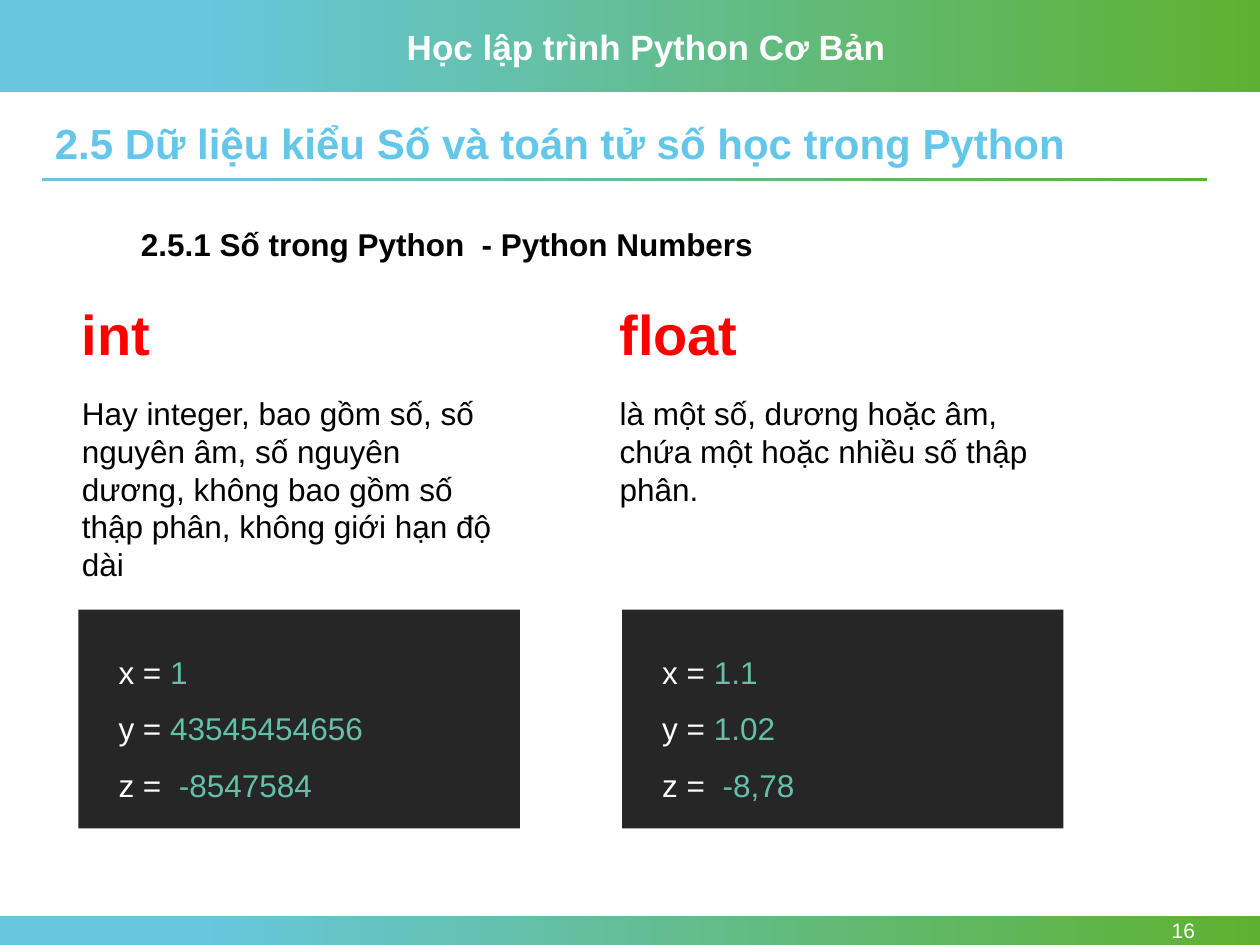
from pptx import Presentation
from pptx.dml.color import RGBColor
from pptx.enum.shapes import MSO_SHAPE as Shape
from pptx.enum.text import MSO_ANCHOR as Anchor, MSO_AUTO_SIZE as AutoSize, PP_ALIGN as Align
from pptx.util import Cm, Pt

SKY = RGBColor(0x67, 0xC7, 0xDF)
GREEN = RGBColor(0x5E, 0xB1, 0x30)
TITLE_BLUE = RGBColor(0x64, 0xC7, 0xE9)
RED = RGBColor(0xFF, 0x00, 0x00)
BLACK = RGBColor(0x00, 0x00, 0x00)
WHITE = RGBColor(0xFF, 0xFF, 0xFF)
CODE_BACK = RGBColor(0x26, 0x26, 0x26)
CODE_VALUE = RGBColor(0x64, 0xC0, 0xA7)


class SlideBuilder:
    font_name = "Arial"

    def __init__(self, slide):
        self.slide = slide

    def style(self, paragraph, size, color=None, bold=False):
        font = paragraph.font
        font.name, font.size, font.bold = self.font_name, Pt(size), bold
        if color is not None:
            font.color.rgb = color

    def title(self, text, left, top, width, height):
        title = self.slide.shapes.title
        title.left, title.top = Cm(left), Cm(top)
        title.width, title.height = Cm(width), Cm(height)
        frame = title.text_frame
        frame.text = text
        frame.auto_size = AutoSize.NONE
        frame.vertical_anchor = Anchor.TOP
        paragraph = frame.paragraphs[0]
        paragraph.alignment = Align.LEFT
        paragraph.line_spacing = 0.9
        self.style(paragraph, 24, TITLE_BLUE, bold=True)

    def rectangle(self, left, top, width, height):
        rectangle = self.slide.shapes.add_shape(
            Shape.RECTANGLE, Cm(left), Cm(top), Cm(width), Cm(height))
        rectangle.shadow.inherit = False
        rectangle.line.fill.background()
        return rectangle

    def gradient_bar(self, left, top, width, height):
        fill = self.rectangle(left, top, width, height).fill
        fill.gradient()
        fill.gradient_angle = 0
        for stop, position, color in zip(fill.gradient_stops, (0.15, 1), (SKY, GREEN)):
            stop.position = position
            stop.color.rgb = color

    def text_frame(self, left, top, width, height):
        box = self.slide.shapes.add_textbox(Cm(left), Cm(top), Cm(width), Cm(height))
        box.text_frame.word_wrap = True
        return box.text_frame

    def text(self, text, left, top, width, height, size=18, color=BLACK,
             bold=False, align=Align.LEFT, anchor=Anchor.TOP):
        frame = self.text_frame(left, top, width, height)
        frame.vertical_anchor = anchor
        frame.text = text
        paragraph = frame.paragraphs[0]
        paragraph.alignment = align
        self.style(paragraph, size, color, bold)

    def code(self, lines, left, top):
        panel = self.rectangle(left, top, 8.9, 4.41)
        panel.fill.solid()
        panel.fill.fore_color.rgb = CODE_BACK
        frame = self.text_frame(left + 0.56, top + 0.36, 7.87, 3.71)
        for index, line in enumerate(lines):
            paragraph = frame.add_paragraph() if index else frame.paragraphs[0]
            paragraph.line_spacing = 1.5
            self.style(paragraph, 18)
            for part, color in zip(line, (WHITE, CODE_VALUE)):
                run = paragraph.add_run()
                run.text = part
                run.font.color.rgb = color


def main():
    deck = Presentation()
    deck.slide_width, deck.slide_height = Cm(25.4), Cm(19.05)
    builder = SlideBuilder(deck.slides.add_slide(deck.slide_layouts[5]))

    # Header, title rule and footer
    builder.gradient_bar(0, 0, 25.4, 1.85)
    builder.gradient_bar(0, 18.47, 25.4, 0.58)
    builder.gradient_bar(0.85, 3.59, 23.49, 0.06)
    builder.text("Học lập trình Python Cơ Bản", 7.95, 0.38, 10.4, 1.11,
                 size=20, color=WHITE, bold=True)
    builder.text("16", 22, 18.47, 2.34, 0.58, size=12, color=WHITE,
                 align=Align.RIGHT, anchor=Anchor.MIDDLE)

    # Title and subtitle
    builder.title("2.5 Dữ liệu kiểu Số và toán tử số học trong Python",
                  0.85, 2.36, 23.49, 1.17)
    builder.text("2.5.1 Số trong Python  - Python Numbers", 2.59, 4.42, 18.9, 1.03,
                 bold=True)

    # One column per number type: name, description, code example
    number_types = [
        (1.4, 1.58, "int",
         "Hay integer, bao gồm số, số nguyên âm, số nguyên dương, "
         "không bao gồm số thập phân, không giới hạn độ dài",
         [("x = ", "1"), ("y = ", "43545454656"), ("z = ", " -8547584")]),
        (12.24, 12.54, "float",
         "là một số, dương hoặc âm, chứa một hoặc nhiều số thập phân.",
         [("x = ", "1.1"), ("y = ", "1.02"), ("z = ", " -8,78")]),
    ]
    for text_left, code_left, name, description, lines in number_types:
        builder.text(name, text_left, 5.92, 3.02, 1.62, size=32, color=RED, bold=True)
        builder.text(description, text_left, 7.82, 9.07, 4.11)
        builder.code(lines, code_left, 12.29)

    deck.save("out.pptx")


if __name__ == "__main__":
    main()
